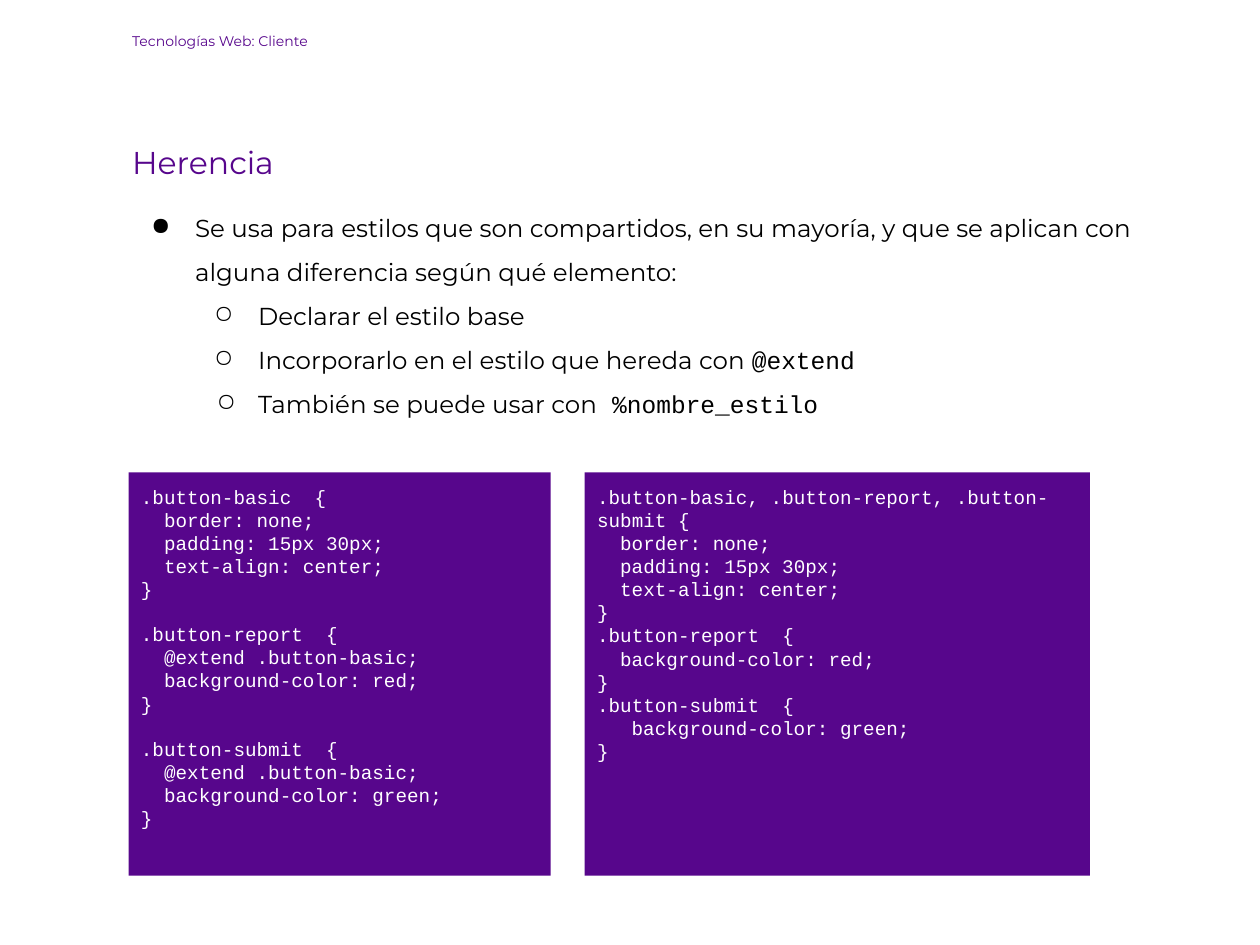
from lxml import etree
from pptx import Presentation
from pptx.dml.color import RGBColor
from pptx.enum.shapes import MSO_SHAPE
from pptx.enum.text import MSO_ANCHOR, PP_ALIGN
from pptx.oxml.ns import qn
from pptx.util import Inches, Pt

RECTANGLE = MSO_SHAPE.RECTANGLE
TOP = MSO_ANCHOR.TOP
LEFT = PP_ALIGN.LEFT

COLORS = {"purple": "57068C", "black": "000000", "white": "FFFFFF"}
SANS, MONO = "Montserrat", "Courier New"


def prepare_frame(shape):
    frame = shape.text_frame
    frame.word_wrap = True
    frame.vertical_anchor = TOP
    frame.margin_left = frame.margin_right = Inches(0.1)
    frame.margin_top = frame.margin_bottom = Inches(0.1)
    return frame


def add_run(paragraph, text, size, font, color):
    run = paragraph.add_run()
    run.text = text
    run.font.size = Pt(size)
    run.font.name = font
    run.font.color.rgb = RGBColor.from_string(COLORS[color])


presentation = Presentation()
presentation.slide_width = Inches(10)
presentation.slide_height = Inches(7.5)
slide = presentation.slides.add_slide(presentation.slide_layouts[6])

# Course name
header = slide.shapes.add_textbox(Inches(0.95), Inches(0.19), Inches(3.78), Inches(0.39))
paragraph = prepare_frame(header).paragraphs[0]
add_run(paragraph, "Tecnologías Web: Cliente", 8, SANS, "purple")

# Heading
body = slide.shapes.add_textbox(Inches(0.95), Inches(0.99), Inches(8.41), Inches(2.55))
body_frame = prepare_frame(body)
paragraph = body_frame.paragraphs[0]
paragraph.line_spacing = 1.15
add_run(paragraph, "Herencia", 18, SANS, "purple")

# Bullets: level, hanging indent, runs of text, size and font
bullets = [
    (0, 0.35, [("Se usa para estilos que son compartidos, en su mayoría, y que se aplican "
                "con alguna diferencia según qué elemento:", 14, SANS)]),
    (1, 0.35, [("Declarar el estilo base", 14, SANS)]),
    (1, 0.35, [("Incorporarlo en el estilo que hereda con ", 14, SANS),
               ("@extend", 14, MONO), (" ", 11, MONO)]),
    (1, 0.33, [("También se puede usar con", 14, SANS), (" %nombre_estilo", 14, MONO)]),
]
for level, hanging, runs in bullets:
    paragraph = body_frame.add_paragraph()
    paragraph.level = level
    paragraph.line_spacing = 1.5
    paragraph.space_before = Pt(0 if level else 10)
    properties = paragraph._p.get_or_add_pPr()
    properties.set("marL", str(Inches(0.5 * (level + 1))))
    properties.set("indent", str(-Inches(hanging)))
    bullet_color = etree.SubElement(properties, qn("a:buClr"))
    etree.SubElement(bullet_color, qn("a:srgbClr")).set("val", COLORS["black"])
    etree.SubElement(properties, qn("a:buChar")).set("char", "●○"[level])
    for text, size, font in runs:
        add_run(paragraph, text, size, font, "black")

# Code panels: left, width, gap between rules, rules (selector, indent, declarations)
base_style = ["border: none;", "padding: 15px 30px;", "text-align: center;"]
panels = [
    (1.02, 3.35, 12.5, [
        (".button-basic  {", 2, base_style),
        (".button-report  {", 2, ["@extend .button-basic;", "background-color: red;"]),
        (".button-submit  {", 2, ["@extend .button-basic;", "background-color: green;"]),
    ]),
    (4.64, 4.01, 0, [
        (".button-basic, .button-report, .button-submit {", 2, base_style),
        (".button-report  {", 2, ["background-color: red;"]),
        (".button-submit  {", 3, ["background-color: green;"]),
    ]),
]
CODE_SIZE = 11
CHARACTER_WIDTH = 0.6 * CODE_SIZE

for left, width, gap, rules in panels:
    panel = slide.shapes.add_shape(
        RECTANGLE, Inches(left), Inches(3.75), Inches(width), Inches(3.2))
    panel.shadow.inherit = False
    panel.fill.solid()
    panel.fill.fore_color.rgb = RGBColor.from_string(COLORS["purple"])
    panel.line.fill.background()
    frame = prepare_frame(panel)
    for rule_index, (selector, indent, declarations) in enumerate(rules):
        lines = [(selector, 0)] + [(text, indent) for text in declarations] + [("}", 0)]
        for line_index, (text, characters) in enumerate(lines):
            first = rule_index == 0 and line_index == 0
            paragraph = frame.paragraphs[0] if first else frame.add_paragraph()
            paragraph.alignment = LEFT
            if rule_index and line_index == 0:
                paragraph.space_before = Pt(gap)
            if characters:
                margin = Pt(characters * CHARACTER_WIDTH)
                paragraph._p.get_or_add_pPr().set("marL", str(margin))
            add_run(paragraph, text, CODE_SIZE, MONO, "white")

presentation.save("out.pptx")
